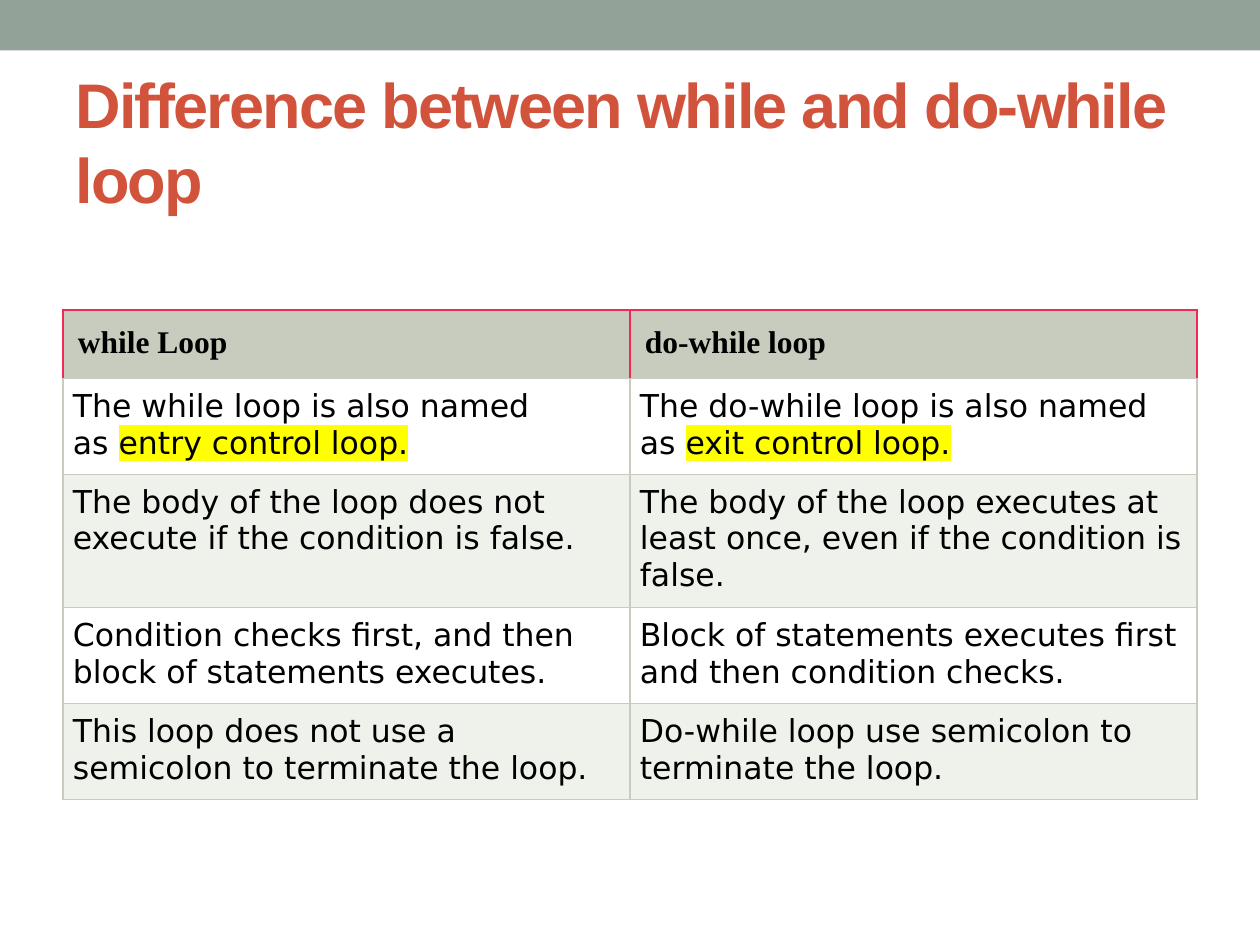
import pptx
import pptx.util
import pptx.dml.color
import pptx.enum.shapes
import pptx.enum.text
import pptx.oxml
import pptx.oxml.ns

Cm = pptx.util.Cm
Pt = pptx.util.Pt

HUES = {
    "band": "93A299", "title": "D2533C", "text": "000000", "head": "C7CCBE",
    "white": "FFFFFF", "stripe": "EFF1EB", "rule": "C7CCBE", "pink": "F02957",
    "mark": "FFFF00",
}

# Each cell is plain text followed by an optional highlighted part
ROWS = [
    [("while Loop", ""), ("do-while loop", "")],
    [("The while loop is also named as\u00a0", "entry control loop."),
     ("The do-while loop is also named as\u00a0", "exit control loop.")],
    [("The body of the loop does not execute if the condition is false.", ""),
     ("The body of the loop executes at least once, "
      "even if the condition is false.", "")],
    [("Condition checks first, and then block of statements executes.", ""),
     ("Block of statements executes first and then condition checks.", "")],
    [("This loop does not use a semicolon to terminate the loop.", ""),
     ("Do-while loop use semicolon to terminate the loop.", "")],
]
HEIGHTS = [1.38, 1.93, 2.69, 1.93, 1.93]
WIDTH = 11.43


def rgb(name):
    return pptx.dml.color.RGBColor.from_string(HUES[name])


def xml(tag, body):
    space = pptx.oxml.ns.nsdecls("a")
    return pptx.oxml.parse_xml(f"<a:{tag} {space}>{body}</a:{tag.split()[0]}>")


def solid(name):
    return f'<a:solidFill><a:srgbClr val="{HUES[name]}"/></a:solidFill>'


def style(para, face, size, hue, bold):
    font = para.font
    font.name, font.size, font.bold = face, Pt(size), bold
    font.color.rgb = rgb(hue)


def add_band(slide):
    kind = pptx.enum.shapes.MSO_SHAPE.RECTANGLE
    band = slide.shapes.add_shape(kind, 0, 0, Cm(25.4), Cm(1.02))
    band.shadow.inherit = False
    band.fill.solid()
    band.fill.fore_color.rgb = rgb("band")
    band.line.fill.background()


def add_title(slide, text):
    box = slide.shapes.add_textbox(Cm(1.27), Cm(1.47), Cm(22.86), Cm(2.74))
    frame = box.text_frame
    frame.word_wrap = True
    frame.vertical_anchor = pptx.enum.text.MSO_ANCHOR.MIDDLE
    para = frame.paragraphs[0]
    style(para, "Arial", 36, "title", True)
    run = para.add_run()
    run.text = text
    run._r.get_or_add_rPr().set("spc", "-100")


def set_edges(cell, hues):
    props = cell._tc.get_or_add_tcPr()
    for spot, (side, hue) in enumerate(zip("LRTB", hues)):
        props.insert(spot, xml(f'ln{side} w="9525"', solid(hue)))


def fill_cell(cell, text, mark, head, back):
    inset = Cm(0.3 if head else 0.2)
    cell.margin_left = cell.margin_right = inset
    cell.margin_top = cell.margin_bottom = inset
    cell.fill.solid()
    cell.fill.fore_color.rgb = rgb(back)
    side = "pink" if head else "rule"
    set_edges(cell, [side, side, side, "rule"])

    para = cell.text_frame.paragraphs[0]
    style(para, "Times New Roman" if head else "DejaVu Sans", 18, "text", head)
    para.add_run().text = text
    if mark:
        run = para.add_run()
        run.text = mark
        tint = f'<a:srgbClr val="{HUES["mark"]}"/>'
        run._r.get_or_add_rPr().append(xml("highlight", tint))


def add_grid(slide):
    count = len(ROWS[0])
    frame = slide.shapes.add_table(len(ROWS), count, Cm(1.27), Cm(6.25),
                                   Cm(WIDTH * count), Cm(sum(HEIGHTS)))
    table = frame.table
    for col in table.columns:
        col.width = Cm(WIDTH)
    for i, (row, high) in enumerate(zip(ROWS, HEIGHTS)):
        table.rows[i].height = Cm(high)
        back = "head" if i == 0 else "white" if i % 2 else "stripe"
        for j, (text, mark) in enumerate(row):
            fill_cell(table.cell(i, j), text, mark, i == 0, back)


def main():
    deck = pptx.Presentation()
    deck.slide_width, deck.slide_height = Cm(25.4), Cm(19.05)
    slide = deck.slides.add_slide(deck.slide_layouts[6])
    add_band(slide)
    add_title(slide, "Difference between while and do-while loop")
    add_grid(slide)
    deck.save("out.pptx")


main()
